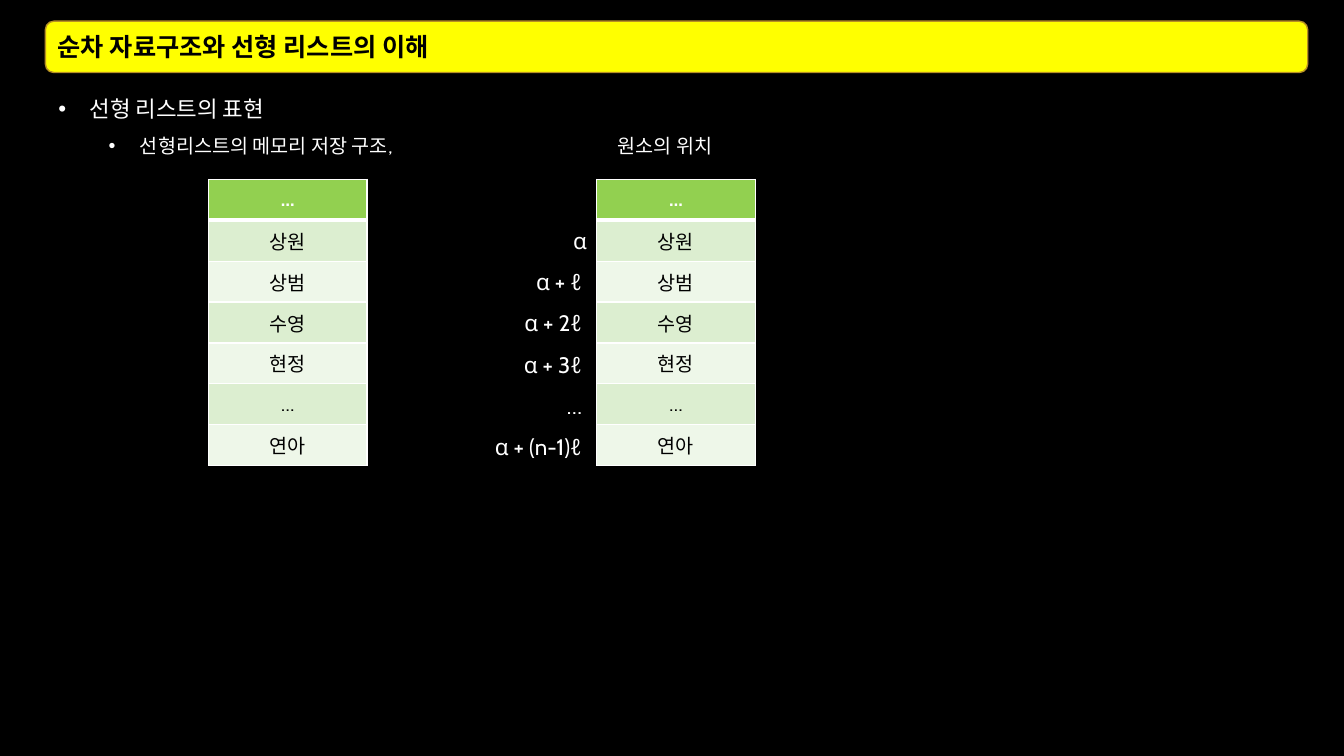
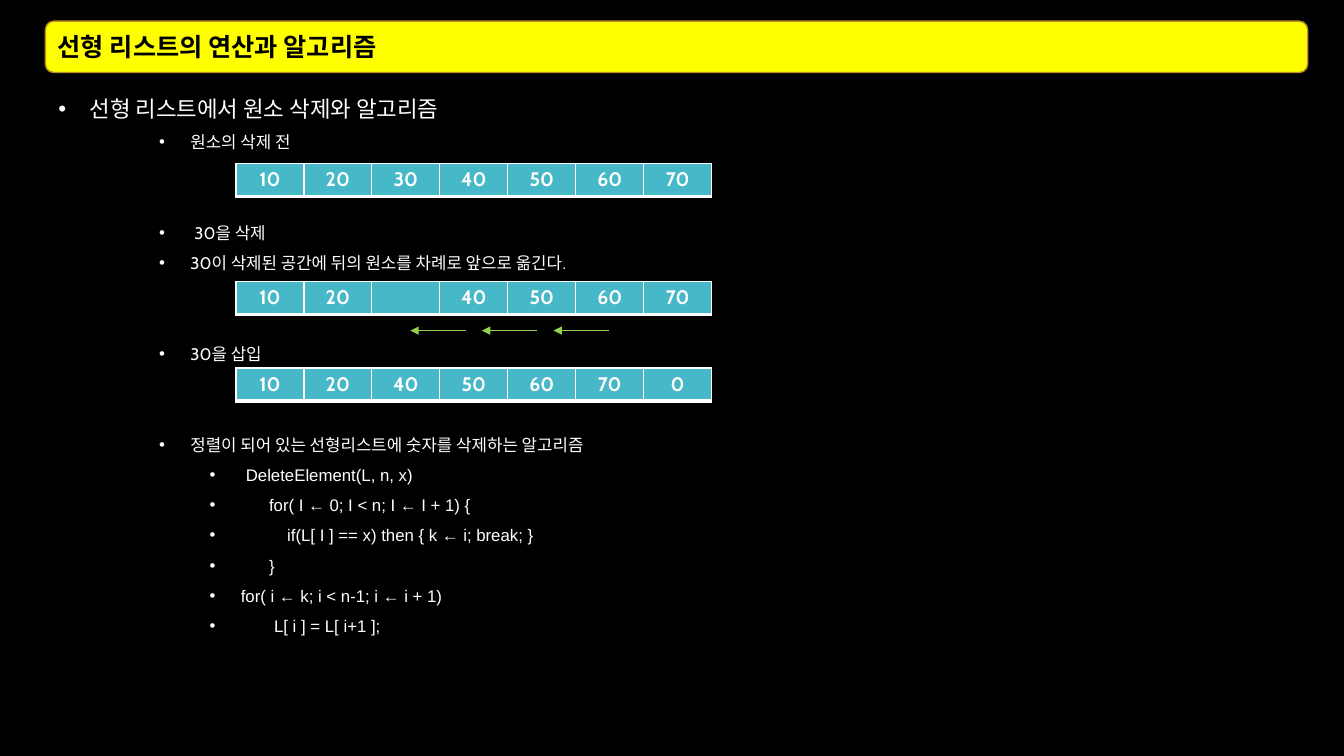
from lxml import etree
from pptx import Presentation
from pptx.dml.color import RGBColor
from pptx.enum.shapes import MSO_CONNECTOR, MSO_SHAPE
from pptx.enum.text import MSO_ANCHOR, PP_ALIGN
from pptx.oxml.ns import qn
from pptx.util import Inches, Pt

BLACK = RGBColor(0x00, 0x00, 0x00)
WHITE = RGBColor(0xFF, 0xFF, 0xFF)
YELLOW = RGBColor(0xFF, 0xFF, 0x00)
GOLD = RGBColor(0xB7, 0x90, 0x24)
GREEN = RGBColor(0x92, 0xD0, 0x50)
PALE_GREEN = RGBColor(0xDC, 0xEE, 0xD0)
PALEST_GREEN = RGBColor(0xEE, 0xF7, 0xE9)
TEAL = RGBColor(0x47, 0xB8, 0xC7)

RECTANGLE = MSO_SHAPE.RECTANGLE
ROUNDED = MSO_SHAPE.ROUNDED_RECTANGLE
STRAIGHT = MSO_CONNECTOR.STRAIGHT
LEFT, CENTER, RIGHT = PP_ALIGN.LEFT, PP_ALIGN.CENTER, PP_ALIGN.RIGHT
TOP, MIDDLE = MSO_ANCHOR.TOP, MSO_ANCHOR.MIDDLE

LEVEL_SIZES = (16, 14, 12, 12)
LINE_FACTOR = 1.8
BULLET_HANG = 0.31
TWO_LINES = 43.2


class Deck:
    """Hold the lecture style and the slide being filled."""

    def __init__(self):
        self.presentation = Presentation()
        self.presentation.slide_width = Inches(13.33)
        self.presentation.slide_height = Inches(7.5)
        self.slide = None
        self.body = None

    def add_slide(self, title):
        self.slide = self.presentation.slides.add_slide(self.presentation.slide_layouts[6])
        background = self.slide.background.fill
        background.solid()
        background.fore_color.rgb = BLACK
        self.body = self.panel(RECTANGLE, 0.48, 0.76, 12.48, 6.46, BLACK, BLACK, TOP)
        frame = self.panel(ROUNDED, 0.45, 0.21, 12.52, 0.51, YELLOW, GOLD, MIDDLE)
        self.set_text(frame.paragraphs[0], title, 18, BLACK, bold=True)

    def panel(self, kind, left, top, width, height, fill, line, anchor):
        shape = self.slide.shapes.add_shape(
            kind, Inches(left), Inches(top), Inches(width), Inches(height))
        shape.shadow.inherit = False
        shape.fill.solid()
        shape.fill.fore_color.rgb = fill
        shape.line.color.rgb = line
        shape.line.width = Pt(1)
        shape.text_frame.vertical_anchor = anchor
        shape.text_frame.word_wrap = True
        return shape.text_frame

    def set_text(self, paragraph, text, size, color=WHITE, align=LEFT, bold=False, font="Cabin"):
        paragraph.text = text
        paragraph.alignment = align
        paragraph.font.name = font
        paragraph.font.size = Pt(size)
        paragraph.font.bold = bold
        paragraph.font.color.rgb = color

    def bullet(self, text, level, before=0, extra=0, font="Cabin"):
        first = self.body.paragraphs[0]
        paragraph = self.body.add_paragraph() if first.text else first
        properties = paragraph._p.get_or_add_pPr()
        properties.set("marL", str(Inches(BULLET_HANG + 0.5 * level + extra)))
        properties.set("indent", str(-Inches(BULLET_HANG + extra)))
        etree.SubElement(properties, qn("a:buFont")).set("typeface", "Arial")
        etree.SubElement(properties, qn("a:buChar")).set("char", "•")
        size = LEVEL_SIZES[level]
        paragraph.level = level
        paragraph.line_spacing = Pt(size * LINE_FACTOR)
        paragraph.space_before = Pt(before)
        self.set_text(paragraph, text, size, font=font)

    def label(self, text, left, top, width, height, size, align=LEFT, spacing=None):
        box = self.slide.shapes.add_textbox(
            Inches(left), Inches(top), Inches(width), Inches(height))
        box.text_frame.word_wrap = True
        paragraph = box.text_frame.paragraphs[0]
        paragraph.line_spacing = spacing
        self.set_text(paragraph, text, size, align=align)

    def table(self, rows, left, top, column_width, row_height, fills):
        columns = len(rows[0])
        frame = self.slide.shapes.add_table(
            len(rows), columns, Inches(left), Inches(top),
            Inches(column_width * columns), Inches(row_height * len(rows)))
        table = frame.table
        table.first_row = table.horz_banding = False
        for row_index, row in enumerate(rows):
            header = row_index == 0
            for column_index, text in enumerate(row):
                cell = table.cell(row_index, column_index)
                self.borders(cell, 3 if row_index == 1 else 1, 3 if header else 1)
                cell.fill.solid()
                cell.fill.fore_color.rgb = fills[row_index]
                cell.margin_top = cell.margin_bottom = 0
                cell.vertical_anchor = MIDDLE
                self.set_text(cell.text_frame.paragraphs[0], text, 14,
                              WHITE if header else BLACK, CENTER, header)

    def borders(self, cell, top, bottom):
        properties = cell._tc.get_or_add_tcPr()
        for side, width in (("L", 1), ("R", 1), ("T", top), ("B", bottom)):
            line = etree.SubElement(properties, qn("a:ln" + side), w=str(Pt(width)))
            fill = etree.SubElement(line, qn("a:solidFill"))
            etree.SubElement(fill, qn("a:srgbClr"), val=str(WHITE))

    def arrow(self, start, end, y):
        connector = self.slide.shapes.add_connector(
            STRAIGHT, Inches(start), Inches(y), Inches(end), Inches(y))
        connector.line.color.rgb = GREEN
        connector.line.width = Pt(0.5)
        etree.SubElement(connector.line._get_or_add_ln(), qn("a:tailEnd"), type="triangle")
        etree.SubElement(connector._element.spPr, qn("a:effectLst"))


def add_memory_slide(deck):
    deck.add_slide("순차 자료구조와 선형 리스트의 이해")
    deck.bullet("선형 리스트의 표현", 0)
    deck.bullet("선형리스트의 메모리 저장 구조,", 1)
    deck.label("원소의 위치", 6.03, 1.16, 1.5, 0.45, 14, spacing=Pt(14 * LINE_FACTOR))
    names = [[name] for name in ("…", "상원", "상범", "수영", "현정", "…", "연아")]
    fills = [GREEN] + [PALE_GREEN, PALEST_GREEN] * 3
    for left in (2.07, 5.92):
        deck.table(names, left, 1.78, 1.57, 2.84 / len(names), fills)
    addresses = ("α", "α + ℓ ", "α + 2ℓ ", "α + 3ℓ ", "… ", "α + (n-1)ℓ ")
    for index, address in enumerate(addresses):
        deck.label(address, 4.59, 2.2 + 0.41 * index, 1.33, 0.37, 16, RIGHT)


def add_deletion_slide(deck):
    deck.add_slide("선형 리스트의 연산과 알고리즘")
    deck.bullet("선형 리스트에서 원소 삭제와 알고리즘", 0)
    for text, before, extra in (
            ("원소의 삭제 전", 0, 0),
            ("30을 삭제", TWO_LINES, 0.04),
            ("30이 삭제된 공간에 뒤의 원소를 차례로 앞으로 옮긴다.", 0, 0),
            ("30을 삽입", TWO_LINES, 0),
            ("정렬이 되어 있는 선형리스트에 숫자를 삭제하는 알고리즘", TWO_LINES, 0)):
        deck.bullet(text, 2, before, extra)
    for code, extra in (
            ("DeleteElement(L, n, x)", 0.05),
            ("for( I ← 0; I < n; I ← I + 1) {", 0.28),
            ("if(L[ I ] == x) then { k ← i; break; }", 0.46),
            ("}", 0.28),
            ("for( i ← k; i < n-1; i ← i + 1)", 0),
            ("L[ i ] = L[ i+1 ];", 0.33)):
        deck.bullet(code, 3, extra=extra, font="Arial")
    for top, values in (
            (1.62, ("10", "20", "30", "40", "50", "60", "70")),
            (2.79, ("10", "20", "", "40", "50", "60", "70")),
            (3.65, ("10", "20", "40", "50", "60", "70", "0"))):
        deck.table([values], 2.34, top, 4.72 / len(values), 0.33, [TEAL])
    for index in range(3):
        start = 6.04 - 0.71 * index
        deck.arrow(start, start - 0.55, 3.28)


def main():
    deck = Deck()
    add_memory_slide(deck)
    add_deletion_slide(deck)
    deck.presentation.save("out.pptx")


if __name__ == "__main__":
    main()
